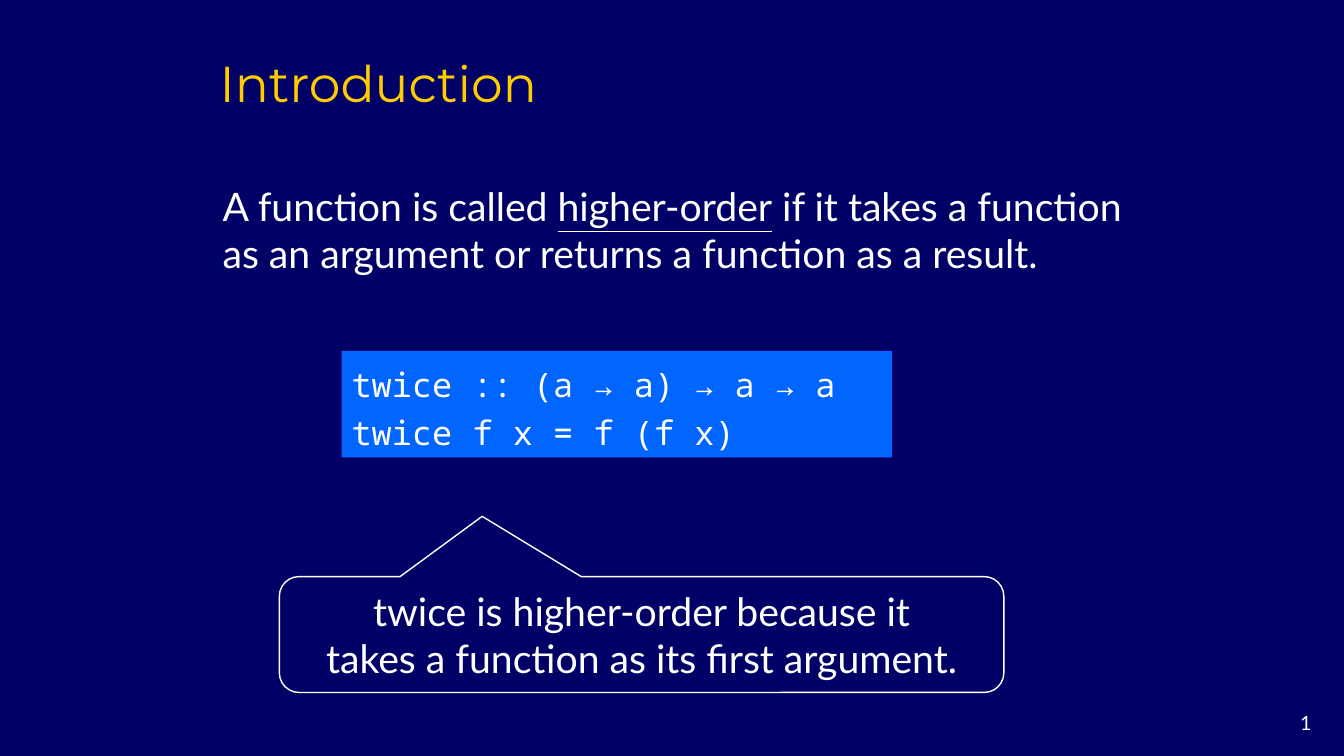
"""Build the introduction slide on higher-order functions."""
from pptx import Presentation
from pptx.dml.color import RGBColor
from pptx.enum.shapes import MSO_SHAPE
from pptx.enum.text import MSO_ANCHOR, MSO_AUTO_SIZE, PP_ALIGN
from pptx.util import Cm, Pt

NAVY = RGBColor(0x00, 0x00, 0x66)
BLUE = RGBColor(0x00, 0x66, 0xFF)
GOLD = RGBColor(0xFF, 0xCC, 0x00)
WHITE = RGBColor(0xFF, 0xFF, 0xFF)
LEFT, MID, RIGHT = PP_ALIGN.LEFT, PP_ALIGN.CENTER, PP_ALIGN.RIGHT
TOP, CENTER, BOTTOM = MSO_ANCHOR.TOP, MSO_ANCHOR.MIDDLE, MSO_ANCHOR.BOTTOM
FIXED = MSO_AUTO_SIZE.NONE
RECT, CALLOUT = MSO_SHAPE.RECTANGLE, MSO_SHAPE.ROUNDED_RECTANGULAR_CALLOUT


def write(shape, lines, font, size, color=WHITE, align=LEFT, anchor=CENTER, space=1.0):
    """Fill a shape with lines, each a list of runs; odd runs are underlined."""
    frame = shape.text_frame
    frame.word_wrap = True
    frame.auto_size = FIXED
    frame.vertical_anchor = anchor
    for row, line in enumerate(lines):
        para = frame.add_paragraph() if row else frame.paragraphs[0]
        para.alignment = align
        para.line_spacing = space
        for col, text in enumerate(line):
            run = para.add_run()
            run.text = text
            run.font.name = font
            run.font.size = Pt(size)
            run.font.color.rgb = color
            if col % 2:
                run.font.underline = True


deck = Presentation()
deck.slide_width, deck.slide_height = Cm(33.87), Cm(19.05)
slide = deck.slides.add_slide(deck.slide_layouts[5])
slide.background.fill.solid()
slide.background.fill.fore_color.rgb = NAVY
shapes = slide.shapes

title = shapes.title
title.left, title.top = Cm(5.28), Cm(1.07)
title.width, title.height = Cm(23.65), Cm(1.9)
write(title, [["Introduction"]], "Montserrat", 36, color=GOLD, anchor=BOTTOM)

number = shapes.add_textbox(Cm(31.04), Cm(17.78), Cm(2.26), Cm(0.84))
write(number, [["1"]], "Lato", 14, align=RIGHT, anchor=TOP)

intro = shapes.add_textbox(Cm(5.36), Cm(4.47), Cm(23.47), Cm(2.62))
write(intro, [["A function is called ", "higher-order",
               " if it takes a function as an argument or returns a function as a result."]],
      "Lato", 28)

code = shapes.add_shape(RECT, Cm(8.61), Cm(8.84), Cm(13.87), Cm(2.69))
code.shadow.inherit = False
code.fill.solid()
code.fill.fore_color.rgb = BLUE
code.line.fill.background()
write(code, [["twice :: (a → a) → a → a"], ["twice f x = f (f x)"]],
      "Noto Sans Mono", 24, space=1.2)

note = shapes.add_shape(CALLOUT, Cm(7.04), Cm(14.53), Cm(18.26), Cm(2.92))
note.shadow.inherit = False
note.fill.background()
note.line.color.rgb = WHITE
note.line.width = Pt(1)
for index, value in enumerate((-0.22, -1.02, 0.17)):
    note.adjustments[index] = value
write(note, [["twice is higher-order because it"],
             ["takes a function as its first argument."]], "Lato", 28, align=MID)

deck.save("out.pptx")
